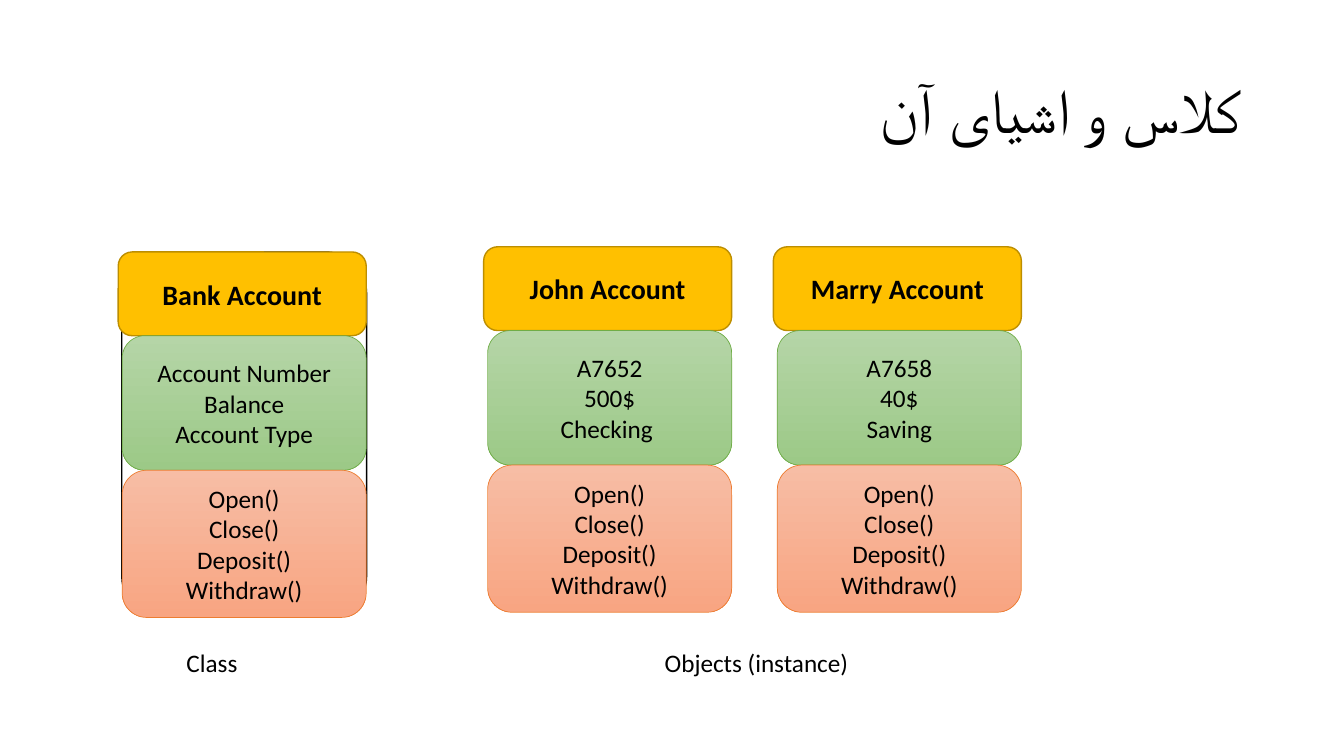
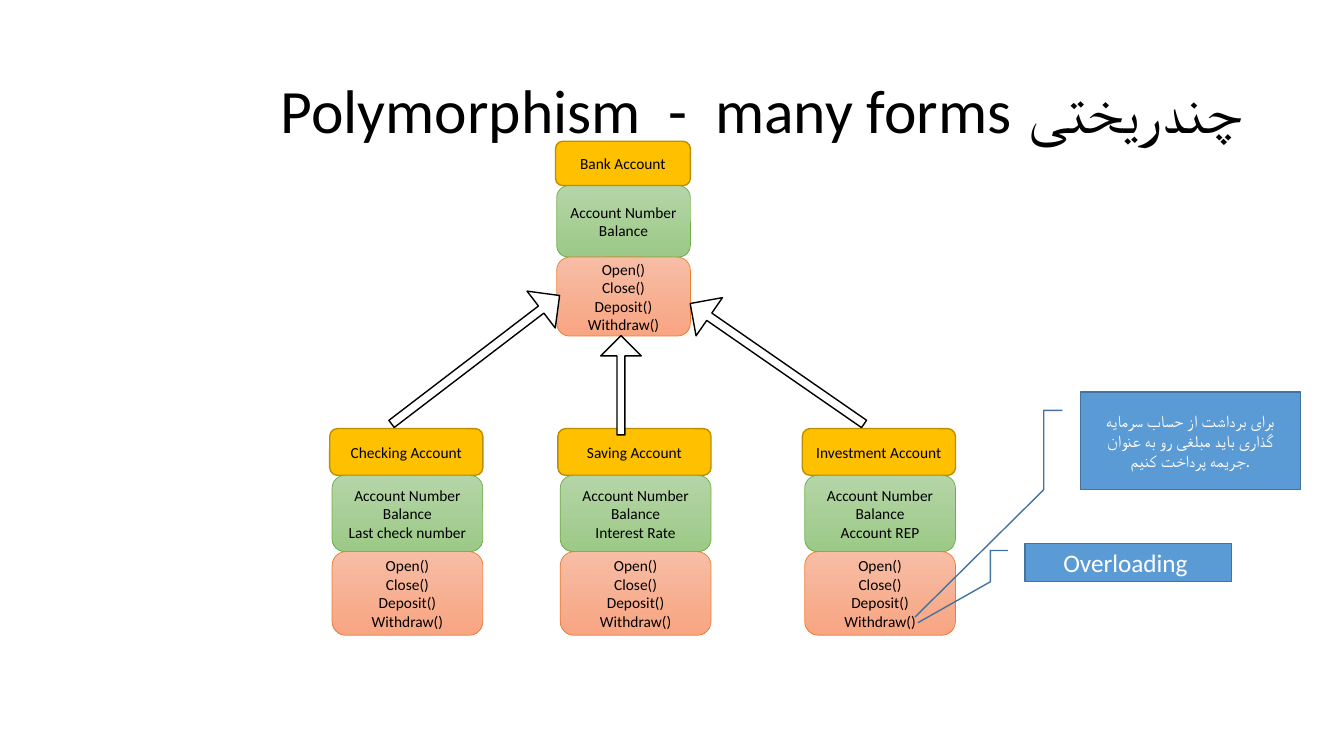
"""Build two slides on classes, their objects and polymorphism."""
from pptx import Presentation as Deck
from pptx.dml.color import RGBColor as Rgb
from pptx.enum.shapes import MSO_SHAPE as Kind
from pptx.enum.text import MSO_ANCHOR as Anchor, PP_ALIGN as Align
from pptx.util import Cm, Pt

FONT = "Calibri"
HUES = {
    "ink": "000000", "paper": "FFFFFF",
    "gold": "FFC000", "gold rim": "BD8E00",
    "leaf top": "B5D5A7", "leaf end": "9CC987", "leaf rim": "70AD47",
    "rose top": "F7BDA5", "rose end": "F8A582", "rose rim": "ED7D31",
    "blue": "5B9BD5", "blue rim": "43739E",
}
CALLS = ["Open()", "Close()", "Deposit()", "Withdraw()"]
BASE = ["Account Number", "Balance"]


def hue(name):
    """Return the colour of that name."""
    return Rgb.from_string(HUES[name])


def write(item, lines, size, ink="ink", bold=False, align=Align.CENTER):
    """Put lines of text into a shape and format them."""
    frame = item.text_frame
    frame.text = "\n".join(lines)
    for para in frame.paragraphs:
        para.alignment = align
        for run in para.runs:
            font = run.font
            font.name, font.size, font.bold = FONT, Pt(size), bold
            font.color.rgb = hue(ink)


def shape(parent, kind, box, fills, rim, width=1):
    """Add a preset shape with a plain fill or a downward gradient."""
    item = parent.shapes.add_shape(kind, *map(Cm, box))
    item.shadow.inherit = False
    if len(fills) == 1:
        item.fill.solid()
        item.fill.fore_color.rgb = hue(fills[0])
    else:
        item.fill.gradient()
        item.fill.gradient_angle = 270
        for stop, name in zip(item.fill.gradient_stops, fills):
            stop.color.rgb = hue(name)
    item.line.color.rgb = hue(rim)
    item.line.width = Pt(width)
    item.text_frame.word_wrap = True
    item.text_frame.vertical_anchor = Anchor.MIDDLE
    return item


def text(slide, box, words, size, align=Align.LEFT, wrap=False):
    """Add a text box."""
    item = slide.shapes.add_textbox(*map(Cm, box))
    item.text_frame.word_wrap = wrap
    write(item, [words], size, align=align)
    return item


def title(slide, words):
    """Add the right-to-left slide title."""
    item = text(slide, (2.33, 1.01, 29.21, 3.68), words, 44, Align.RIGHT, True)
    item.text_frame.vertical_anchor = Anchor.MIDDLE
    para = item.text_frame.paragraphs[0]
    para.line_spacing = 0.9
    para._p.get_or_add_pPr().set("rtl", "1")


def card(slide, left, top, size, name, fields, sizes, bold=False):
    """Add a grouped card of name, fields and calls."""
    wide, dent, *highs = size
    group = slide.shapes.add_group_shape()
    parts = [
        ([name], ["gold"], "gold rim", 1, 0),
        (fields, ["leaf top", "leaf end"], "leaf rim", 0.5, dent),
        (CALLS, ["rose top", "rose end"], "rose rim", 0.5, dent),
    ]
    for (lines, fills, rim, width, shift), high, points in zip(parts, highs, sizes):
        box = (left + shift, top, wide - shift, high)
        part = shape(group, Kind.ROUNDED_RECTANGLE, box, fills, rim, width)
        write(part, lines, points, bold=bold and shift == 0)
        top += high


def arrow(slide, box, turn, thick):
    """Add a block arrow turned by an angle."""
    item = shape(slide, Kind.UP_ARROW, box, ["paper"], "ink")
    item.adjustments[0], item.adjustments[1] = thick, 0.5
    item.rotation = turn


def note(slide, box, words, size, tip):
    """Add a callout whose bent line ends at the tip."""
    item = shape(slide, Kind.LINE_CALLOUT_3, box, ["blue"], "blue rim")
    bends = (0.188, -0.083, 0.188, -0.167, 1, -0.167, *tip)
    for spot, bend in enumerate(bends):
        item.adjustments[spot] = bend
    write(item, [words], size, "paper")


def objects(slide):
    """Draw the class beside its two objects."""
    title(slide, "کلاس و اشیای آن")
    shape(slide, Kind.ROUNDED_RECTANGLE, (3.07, 6.35, 6.17, 9.2), ["paper"], "ink")
    size = (6.25, 0.1, 2.11, 3.39, 3.71)
    for left, top, name, fields in [
        (2.98, 6.35, "Bank Account", BASE + ["Account Type"]),
        (12.19, 6.22, "John Account", ["A7652", "500$", "Checking "]),
        (19.49, 6.22, "Marry Account", ["A7658", "40$", "Saving"]),
    ]:
        card(slide, left, top, size, name, fields, (20, 18, 18), True)
    text(slide, (16.5, 16.18, 5.18, 1.03), "Objects (instance)", 18)
    text(slide, (4.45, 16.18, 1.8, 1.03), "Class", 18)


def forms(slide):
    """Draw the base class and the three that inherit from it."""
    title(slide, "چندریختی Polymorphism  -  many forms")
    small = (11, 11, 11)
    card(slide, 14, 3.56, (3.4, 0.03, 1.12, 1.8, 1.99), "Bank Account", BASE, small)
    size = (3.86, 0.06, 1.18, 1.92, 2.11)
    for left, name, extra in [
        (8.31, "Checking Account", "Last check number"),
        (14.06, "Saving Account", "Interest Rate"),
        (20.22, "Investment Account", "Account REP"),
    ]:
        card(slide, left, 10.8, size, name, BASE + [extra], small)
    arrow(slide, (15.14, 8.46, 1.02, 2.5), 0, 0.197)
    arrow(slide, (19, 6.5, 1.17, 5.33), 304.7, 0.192)
    arrow(slide, (11.4, 6.4, 1.17, 5.33), 52.6, 0.192)
    note(slide, (25.83, 13.69, 5.21, 0.97), "Overloading ", 18, (2.065, -0.518))
    note(slide, (27.23, 9.88, 5.54, 2.46),
         "برای برداشت از حساب سرمایه گذاری باید مبلغی رو به عنوان جریمه پرداخت کنیم.",
         12, (2.305, -0.753))


def main():
    """Build and save the deck."""
    deck = Deck()
    deck.slide_width, deck.slide_height = Cm(33.87), Cm(19.05)
    for draw in (objects, forms):
        draw(deck.slides.add_slide(deck.slide_layouts[6]))
    deck.save("out.pptx")


if __name__ == "__main__":
    main()
